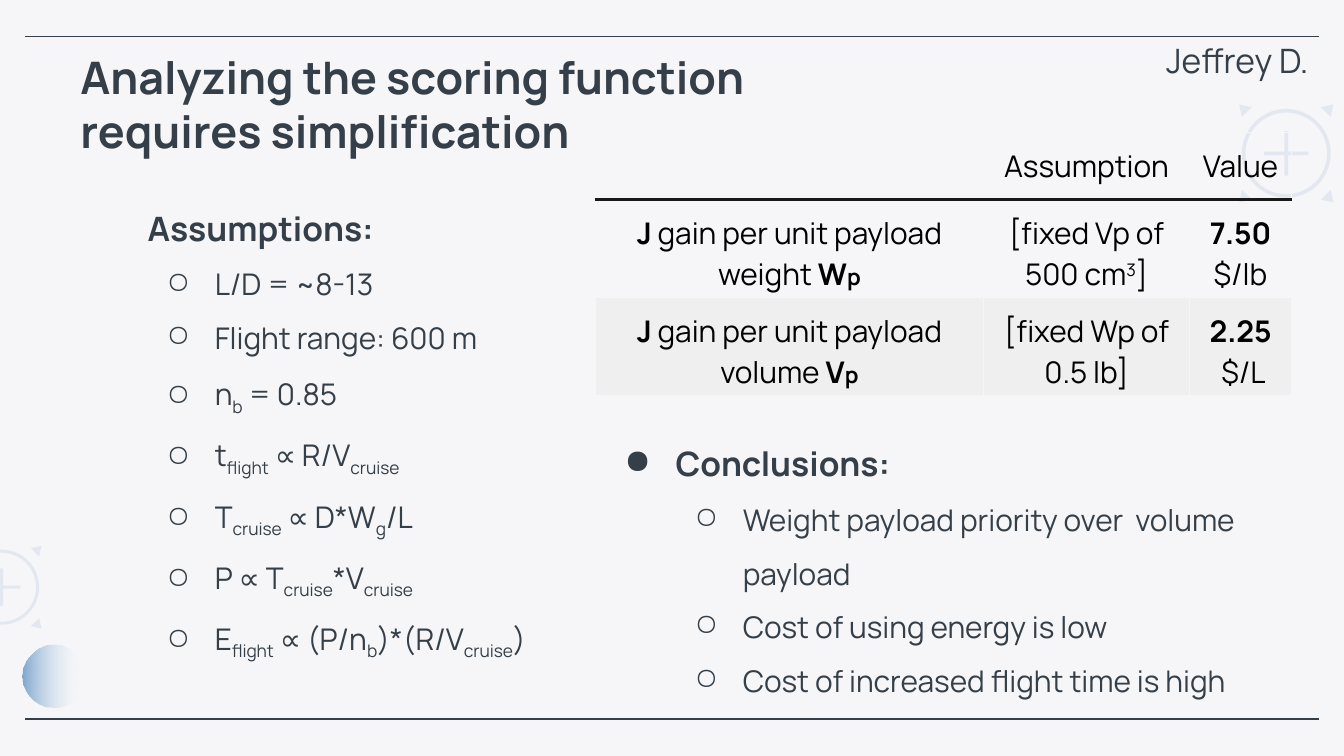
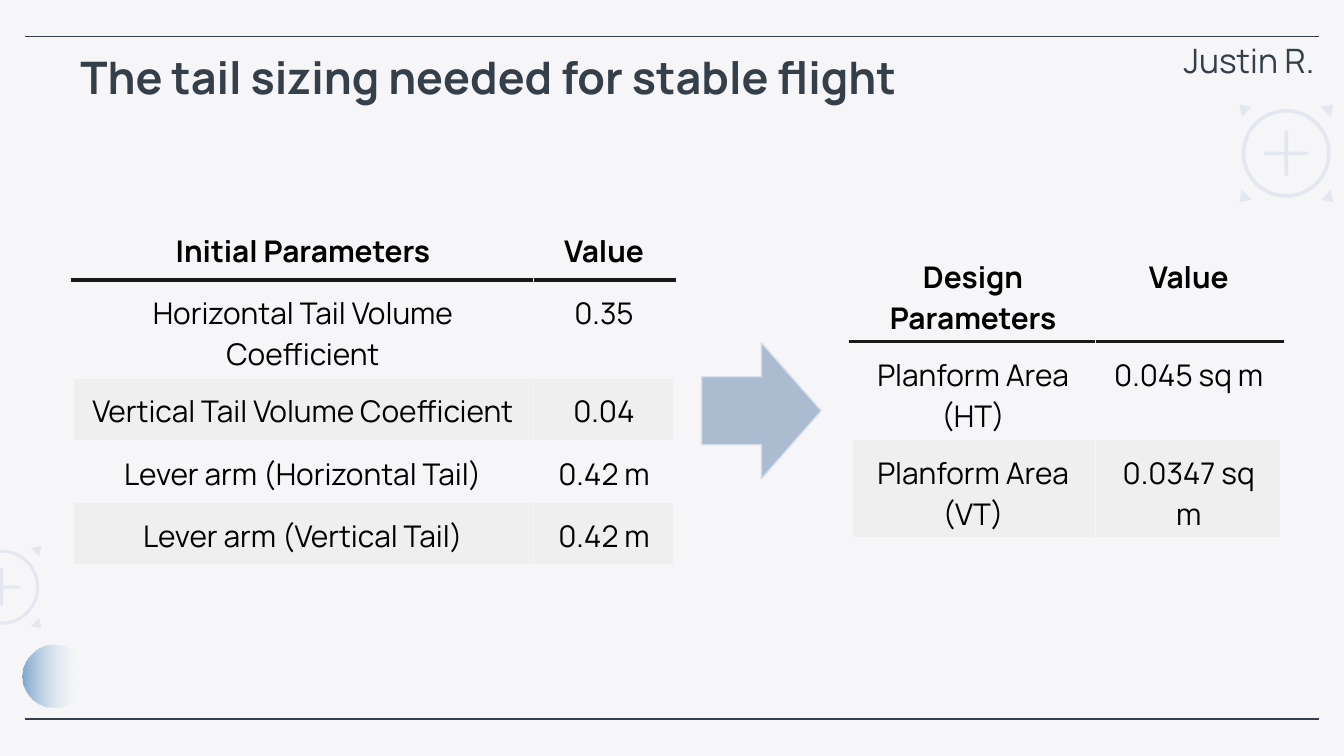
from itertools import product

from lxml.etree import SubElement
from pptx import Presentation
from pptx.dml.color import RGBColor
from pptx.enum.shapes import MSO_CONNECTOR, MSO_SHAPE
from pptx.enum.text import MSO_ANCHOR, PP_ALIGN
from pptx.oxml.ns import qn
from pptx.util import Cm, Pt

COLORS = {
    "background": "F6F6F8",
    "ink": "353F49",
    "table_text": "000000",
    "rule": "191919",
    "band": "EFEFEF",
    "target": "D6DEEB",
    "orb": "81A7CE",
    "fade": "FFFFFF",
    "arrow": "ABBCD0",
}
FONT = "Manrope"
WIDTH, HEIGHT = 25.4, 14.29
INSET = 0.25
BODY_SIZE, HEADING_SIZE, TITLE_SIZE = 16, 18, 24
BASELINES = {"sub": "-25000", "sup": "30000"}


def rgb(name):
    return RGBColor.from_string(COLORS[name])


def set_alpha(color_element, percent):
    SubElement(color_element, qn("a:alpha"), val=str(percent * 1000))


def subscripted(text):
    """Split text into runs; parts between underscores are subscripts."""
    return [(part, "sub" if index % 2 else "")
            for index, part in enumerate(text.split("_")) if part]


def indent(paragraph, left, first=0.0, bullet=None):
    properties = paragraph._p.get_or_add_pPr()
    properties.set("marL", str(Cm(left)))
    properties.set("indent", str(Cm(first)))
    if bullet:
        color = SubElement(properties, qn("a:buClr"))
        SubElement(color, qn("a:srgbClr"), val=COLORS["ink"])
        SubElement(properties, qn("a:buChar"), char=bullet)


def write(paragraph, content, size, color="ink", bold=False):
    """Fill a paragraph with a string or with (text, style) runs."""
    if isinstance(content, str):
        content = [(content, "")]
    for text, style in content:
        run = paragraph.add_run()
        run.text = text
        run.font.name = FONT
        run.font.size = Pt(12 if style == "small" else size)
        run.font.bold = bold or style in ("bold", "small")
        run.font.color.rgb = rgb(color)
        if style in BASELINES:
            run._r.get_or_add_rPr().set("baseline", BASELINES[style])


class Deck:
    """Holds the presentation, its style and the current slide."""

    def __init__(self):
        self.presentation = Presentation()
        self.presentation.slide_width = Cm(WIDTH)
        self.presentation.slide_height = Cm(HEIGHT)
        self.slide = None

    def new_slide(self, title, title_width, presenter, presenter_left):
        self.slide = self.presentation.slides.add_slide(
            self.presentation.slide_layouts[6])
        fill = self.slide.background.fill
        fill.solid()
        fill.fore_color.rgb = rgb("background")
        for y in (0.69, 13.59):
            self.line(0.48, WIDTH - 0.48, y)
        self.target(24.31, 2.9, 1.68, sides=(-1, 1))
        self.orb(0.43, 12.19, 1.19)
        self.target(0.03, 11.1, 1.42, sides=(1,))

        paragraph = self.text_box(0, 0.69, title_width, 2.64).paragraphs[0]
        indent(paragraph, 1.27)
        write(paragraph, title, TITLE_SIZE, bold=True)
        text_frame = self.text_box(
            presenter_left, 0, WIDTH - presenter_left, 1.93, top_inset=1)
        write(text_frame.paragraphs[0], presenter, HEADING_SIZE)

    def line(self, left, right, y):
        line = self.slide.shapes.add_connector(
            MSO_CONNECTOR.STRAIGHT, Cm(left), Cm(y), Cm(right), Cm(y))
        line.line.color.rgb = rgb("ink")
        line.line.width = Pt(0.75)
        SubElement(line._element.spPr, qn("a:effectLst"))

    def shape(self, kind, left, top, width, height, color, outline=None):
        shape = self.slide.shapes.add_shape(
            kind, Cm(left), Cm(top), Cm(width), Cm(height))
        return self.paint(shape, color, outline)

    def paint(self, shape, color, outline=None):
        shape.shadow.inherit = False
        shape.fill.solid()
        shape.fill.fore_color.rgb = rgb(color)
        if outline:
            shape.line.color.rgb = rgb(outline)
            shape.line.width = Pt(0.75)
        else:
            shape.line.fill.background()
        return shape

    def target(self, center_x, center_y, size, sides):
        """Draw a ringed plus with corner triangles on the given sides."""
        parts = []
        for kind, scale, adjustment in ((MSO_SHAPE.MATH_PLUS, 0.68, 0.058),
                                        (MSO_SHAPE.DONUT, 1, 0.04)):
            extent = size * scale
            part = self.shape(kind, center_x - extent / 2, center_y - extent / 2,
                              extent, extent, "target")
            part.adjustments[0] = adjustment
            parts.append(part)
        for side_x, side_y in product(sides, (-1, 1)):
            corners = [(Cm(center_x + side_x * x * size),
                        Cm(center_y + side_y * y * size))
                       for x, y in ((0.53, 0.55), (0.5, 0.41), (0.39, 0.52))]
            builder = self.slide.shapes.build_freeform(*corners[0])
            builder.add_line_segments(corners[1:], close=True)
            parts.append(self.paint(builder.convert_to_shape(), "target"))
        for part in parts:
            set_alpha(next(part._element.spPr.iter(qn("a:srgbClr"))), 61)

    def orb(self, left, top, size):
        orb = self.shape(MSO_SHAPE.OVAL, left, top, size, size, "orb")
        orb.fill.gradient()
        orb.fill.gradient_angle = 0
        for stop, color in zip(orb.fill.gradient_stops, ("orb", "fade")):
            stop.color.rgb = rgb(color)
        set_alpha(list(orb._element.spPr.iter(qn("a:srgbClr")))[-1], 0)

    def text_box(self, left, top, width, height, top_inset=INSET):
        text_frame = self.slide.shapes.add_textbox(
            Cm(left), Cm(top), Cm(width), Cm(height)).text_frame
        text_frame.word_wrap = True
        text_frame.vertical_anchor = MSO_ANCHOR.TOP
        text_frame.margin_left = text_frame.margin_right = Cm(INSET)
        text_frame.margin_top, text_frame.margin_bottom = Cm(top_inset), Cm(INSET)
        return text_frame

    def outline(self, box, heading, items, left, bullet=None):
        """Write a bold heading with a list of bulleted items below it."""
        text_frame = self.text_box(*box)
        paragraph = text_frame.paragraphs[0]
        indent(paragraph, left, -0.97 if bullet else 0, bullet)
        paragraph.line_spacing = 1.5
        write(paragraph, heading, HEADING_SIZE, bold=True)
        for item in items:
            paragraph = text_frame.add_paragraph()
            paragraph.level = 1
            indent(paragraph, left + 1.27, -0.91, "○")
            paragraph.line_spacing = 1.5
            write(paragraph, subscripted(item), BODY_SIZE)

    def table(self, left, top, columns, heights, rows, bold_header=True, edge=2.25):
        """Draw a table; a cell is a string or a list of paragraphs."""
        table = self.slide.shapes.add_table(
            len(rows), len(columns), Cm(left), Cm(top),
            Cm(sum(columns)), Cm(sum(heights))).table
        table.first_row = table.horz_banding = False
        for column, width in zip(table.columns, columns):
            column.width = Cm(width)
        for row, height in zip(table.rows, heights):
            row.height = Cm(height)
        last = len(columns) - 1
        for (r, row), c in product(enumerate(rows), range(len(columns))):
            cell = table.cell(r, c)
            cell.margin_left = cell.margin_right = Cm(INSET)
            cell.margin_top = cell.margin_bottom = Cm(INSET)
            header = r == 0
            rule, plain = ("rule", 2.25), ("background", 0.75)
            outer = ("background", edge)
            self.borders(cell, {
                "L": outer if header or c == 0 else plain,
                "R": outer if header or c == last else plain,
                "T": outer if header else rule if r == 1 else plain,
                "B": rule if header else plain,
            })
            if r and r % 2 == 0:
                cell.fill.solid()
                cell.fill.fore_color.rgb = rgb("band")
            else:
                cell.fill.background()
            lines = [row[c]] if isinstance(row[c], str) else row[c]
            for index, content in enumerate(lines):
                text_frame = cell.text_frame
                paragraph = (text_frame.add_paragraph() if index
                             else text_frame.paragraphs[0])
                paragraph.alignment = PP_ALIGN.CENTER
                write(paragraph, content, BODY_SIZE, "table_text",
                      bold_header and header)

    def borders(self, cell, sides):
        properties = cell._tc.get_or_add_tcPr()
        for side, (color, width) in sides.items():
            border = SubElement(properties, qn(f"a:ln{side}"), w=str(Pt(width)))
            fill = SubElement(border, qn("a:solidFill"))
            SubElement(fill, qn("a:srgbClr"), val=COLORS[color])


def gain_row(quantity, symbol, assumption, value, unit):
    gain = [("J", "bold"), (f" gain per unit payload {quantity} ", ""),
            (symbol, "bold"), ("p", "small")]
    return [[gain], [assumption], [[(value, "bold")], unit]]


def scoring_slide(deck):
    deck.new_slide("Analyzing the scoring function requires simplification",
                   16.36, "Jeffrey D.", 21.79)
    deck.outline((0, 3.3, 11.4, 8.99), "Assumptions:", [
        "L/D = ~8-13",
        "Flight range: 600 m",
        "η_b_ = 0.85",
        "t_flight_ ∝ R/V_cruise_",
        "T_cruise_ ∝ D*W_g_/L",
        "P ∝ T_cruise_*V_cruise_",
        "E_flight_ ∝ (P/η_b_)*(R/V_cruise_)",
    ], left=2.54)
    deck.outline((11.25, 7.75, 13.18, 6.55), "Conclusions:", [
        "Weight payload priority over  volume payload",
        "Cost of using energy is low",
        "Cost of increased flight time is high",
    ], left=1.27, bullet="●")
    fixed_volume = [("[fixed Vp of 500 cm", ""), ("3", "sup"), ("]", "")]
    deck.table(11.25, 2.51, (7.34, 3.89, 1.93), (0.99, 1.63, 1.63), [
        [[], "Assumption", "Value"],
        gain_row("weight", "W", fixed_volume, "7.50", "$/lb"),
        gain_row("volume", "V", "[fixed Wp of 0.5 lb]", "2.25", " $/L"),
    ], bold_header=False, edge=0.75)


def tail_slide(deck):
    deck.new_slide("The tail sizing needed for stable flight",
                   18.82, "Justin R.", 22.12)
    deck.table(1.37, 4.11, (8.71, 2.67), (1.07, 1.07, 0.99, 0.99, 0.99), [
        ["Initial Parameters", "Value"],
        ["Horizontal Tail Volume Coefficient", "0.35"],
        ["Vertical Tail Volume Coefficient", "0.04"],
        ["Lever arm (Horizontal Tail)", "0.42 m"],
        ["Lever arm (Vertical Tail)", "0.42 m"],
    ])
    deck.shape(MSO_SHAPE.RIGHT_ARROW, 13.26, 6.48, 2.26, 2.57, "arrow", "target")
    deck.table(16.08, 4.6, (4.62, 3.53), (1.52, 0.84, 0.91), [
        ["Design Parameters", "Value"],
        ["Planform Area (HT)", "0.045 sq m"],
        ["Planform Area (VT)", "0.0347 sq m"],
    ])


def main():
    deck = Deck()
    scoring_slide(deck)
    tail_slide(deck)
    deck.presentation.save("out.pptx")


if __name__ == "__main__":
    main()
